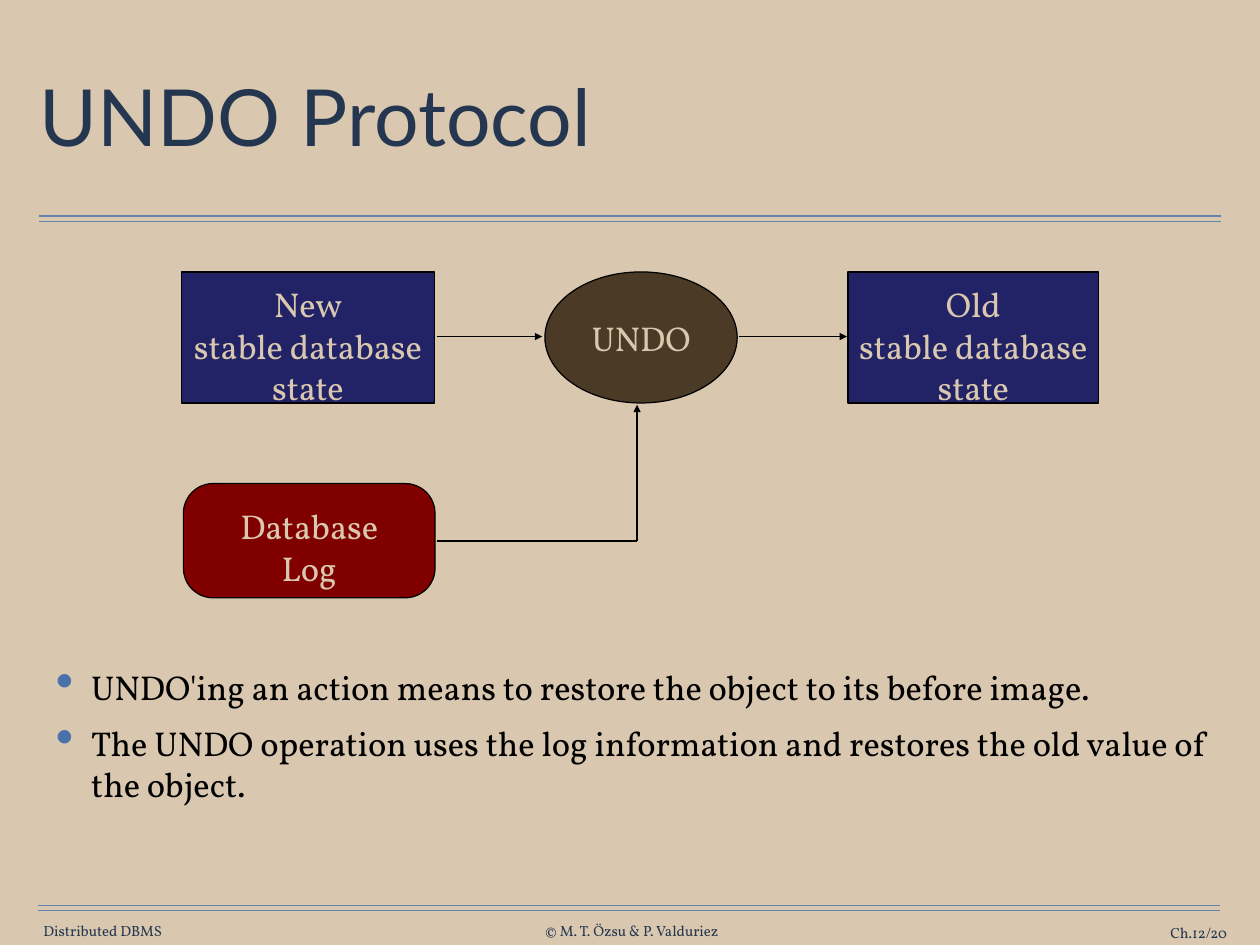
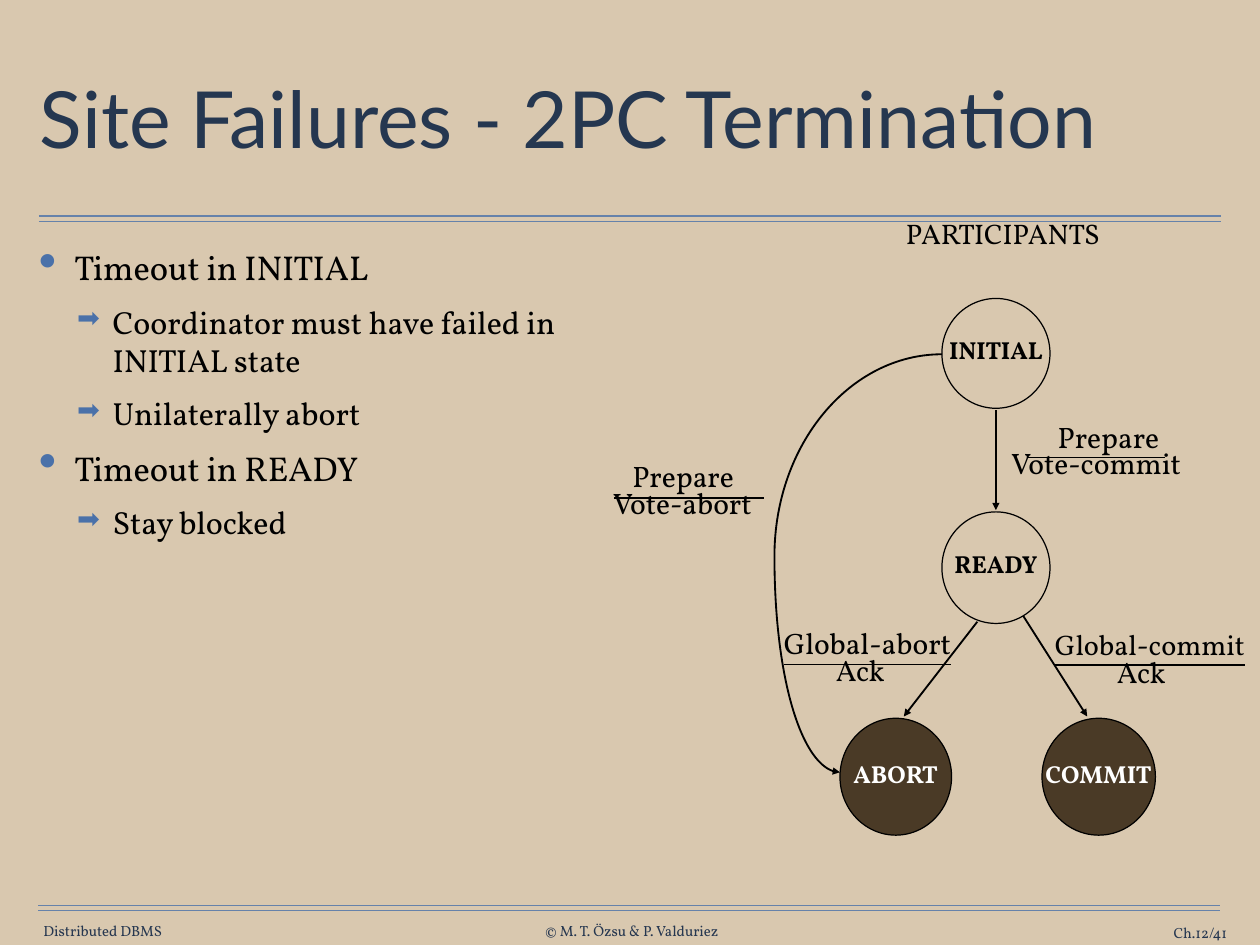
"""Build two slides on recovery protocols in distributed databases."""
from dataclasses import dataclass

from lxml import etree
from pptx import Presentation
from pptx.dml.color import RGBColor
from pptx.enum import shapes, text
from pptx.oxml.ns import qn
from pptx.util import Inches, Pt


@dataclass(frozen=True)
class Theme:
    """Colours, fonts and type sizes used on every slide."""
    sand: str = "D9C8AF"
    rule: str = "6682AA"
    footer: str = "263750"
    title: str = "253750"
    bullet: str = "4A71A9"
    black: str = "000000"
    white: str = "FFFFFF"
    navy: str = "222267"
    maroon: str = "800000"
    brown: str = "4A3A26"
    heading_font: str = "Lato"
    body_font: str = "Vollkorn"
    title_size: int = 64
    body_size: int = 28
    sub_size: int = 26
    label_size: int = 24
    caption_size: int = 23
    state_size: int = 20
    footer_size: int = 12


THEME = Theme()
SHAPE = shapes.MSO_SHAPE
ALIGN = text.PP_ALIGN
TITLE_BOX = (0.39, 0.49, 13.44, 1.76)
RULES = [(0.44, 2.44), (0.44, 2.5), (0.43, 10.22), (0.43, 10.28)]
RULE_LENGTH = 13.34
BULLETS = [("•", 150, 0.4, THEME.body_size), ("➡", 85, 0.83, THEME.sub_size)]
HANGING = 0.4

UNDO = {
    "title": "UNDO Protocol",
    "spacing": 0.9,
    "number": "Ch.12/20",
    "body_box": (0.57, 7.46, 13.44, 2.22),
    "body": [
        (0, "UNDO'ing an action means to restore the object to its before image."),
        (0, "The UNDO operation uses the log information and restores the old "
            "value of the object."),
    ],
    "arrows": [
        ((4.93, 3.8), (6.12, 3.8)),
        ((8.34, 3.8), (9.56, 3.8)),
        ((7.19, 6.11), (7.19, 4.57)),
    ],
    "lines": [((4.93, 6.11), (7.19, 6.11), 1.5)],
    "text_style": (THEME.body_size, False),
    "nodes": [
        (SHAPE.RECTANGLE, (2.05, 3.07, 2.85, 1.48), THEME.navy, THEME.sand, 0.09,
         ["New", "stable database", "state"]),
        (SHAPE.ROUNDED_RECTANGLE, (2.07, 5.46, 2.84, 1.29), THEME.maroon,
         THEME.sand, 0.07, ["Database", "Log"]),
        (SHAPE.OVAL, (6.15, 3.07, 2.17, 1.48), THEME.brown, THEME.sand, 0, ["UNDO"]),
        (SHAPE.RECTANGLE, (9.57, 3.07, 2.83, 1.48), THEME.navy, THEME.sand, 0.09,
         ["Old", "stable database", "state"]),
    ],
    "labels": [],
    "curve": [],
}

TERMINATION = {
    "title": "Site Failures - 2PC Termination",
    "spacing": 0.97,
    "number": "Ch.12/41",
    "body_box": (0.38, 2.72, 6.81, 7.4),
    "body": [
        (0, "Timeout in INITIAL"),
        (1, "Coordinator must have failed in INITIAL state"),
        (1, "Unilaterally abort"),
        (0, "Timeout in READY"),
        (1, "Stay blocked"),
    ],
    "arrows": [
        ((11.24, 4.63), (11.24, 5.76)),
        ((11.03, 7.02), (10.2, 8.09)),
        ((11.52, 6.91), (12.27, 8.09)),
    ],
    "lines": [((11.6, 5.17), (13.15, 5.17), 1), ((6.93, 5.62), (8.62, 5.62), 1.5)],
    "text_style": (THEME.state_size, True),
    "nodes": [
        (SHAPE.OVAL, (10.63, 3.37, 1.22, 1.24), THEME.sand, THEME.black, -0.04,
         ["INITIAL"]),
        (SHAPE.OVAL, (10.63, 5.78, 1.22, 1.26), THEME.sand, THEME.black, -0.04,
         ["READY"]),
        (SHAPE.OVAL, (9.48, 8.11, 1.26, 1.32), THEME.brown, THEME.white, -0.04,
         ["ABORT"]),
        (SHAPE.OVAL, (11.76, 8.11, 1.28, 1.32), THEME.brown, THEME.white, -0.04,
         ["COMMIT"]),
    ],
    "labels": [
        ("PARTICIPANTS", 11.32, 2.63, THEME.caption_size, False),
        ("Prepare", 12.51, 4.93, THEME.label_size, False),
        ("Vote-commit", 12.37, 5.23, THEME.label_size, False),
        ("Prepare", 7.71, 5.37, THEME.label_size, False),
        ("Vote-abort", 7.7, 5.68, THEME.label_size, False),
        ("Global-abort", 9.79, 7.26, THEME.label_size, True),
        ("Ack", 9.71, 7.56, THEME.label_size, False),
        ("Global-commit", 12.98, 7.27, THEME.caption_size, True),
        ("Ack", 12.88, 7.58, THEME.label_size, False),
    ],
    "curve": [(10.63, 4), (9.59, 4), (8.74, 5.02), (8.74, 6.28),
              (8.74, 7.63), (9.07, 8.72), (9.48, 8.72)],
}


def colour(value):
    """Turn a hex string into a colour."""
    return RGBColor.from_string(value)


def add_span(para, words, size, ink, font=THEME.body_font, bold=False, underline=False):
    """Add one formatted run to a paragraph."""
    span = para.add_run()
    span.text = words
    style = span.font
    style.name, style.size = font, Pt(size)
    style.bold, style.underline = bold, underline
    style.color.rgb = colour(ink)


def set_frame(frame, inset=0, wrap=False, anchor=text.MSO_ANCHOR.MIDDLE):
    """Set the insets, wrapping and anchor of a text frame."""
    frame.auto_size = text.MSO_AUTO_SIZE.NONE
    frame.word_wrap = wrap
    frame.vertical_anchor = anchor
    frame.margin_left = frame.margin_right = Inches(inset)
    frame.margin_top = frame.margin_bottom = Inches(inset)


def add_arrowhead(outline):
    """Put a triangle at the end of a line."""
    etree.SubElement(outline.line._get_or_add_ln(), qn("a:tailEnd"), type="triangle")


def add_line(page, start, end, width, ink=THEME.black, arrow=False):
    """Draw a straight line, with an arrowhead if asked."""
    line = page.shapes.add_connector(
        shapes.MSO_CONNECTOR.STRAIGHT, *map(Inches, start + end))
    line.line.width = Pt(width)
    line.line.color.rgb = colour(ink)
    if arrow:
        add_arrowhead(line)
    etree.SubElement(line._element.spPr, qn("a:effectLst"))


def add_label(page, words, place, size, ink, align=ALIGN.CENTER, underline=False):
    """Place one line of text in a box."""
    box = page.shapes.add_textbox(*map(Inches, place))
    set_frame(box.text_frame, wrap=align == ALIGN.RIGHT)
    para = box.text_frame.paragraphs[0]
    para.alignment = align
    add_span(para, words, size, ink, underline=underline)


def add_node(page, kind, place, fill, ink, drop, lines, size, bold):
    """Draw a filled shape whose text sits drop inches below its middle."""
    node = page.shapes.add_shape(kind, *map(Inches, place))
    node.shadow.inherit = False
    node.fill.solid()
    node.fill.fore_color.rgb = colour(fill)
    node.line.color.rgb = colour(THEME.black)
    node.line.width = Pt(1)
    if kind == SHAPE.ROUNDED_RECTANGLE:
        node.adjustments[0] = 0.26
    frame = node.text_frame
    set_frame(frame)
    frame.margin_top = Inches(2 * max(drop, 0))
    frame.margin_bottom = Inches(2 * max(-drop, 0))
    for index, words in enumerate(lines):
        para = frame.add_paragraph() if index else frame.paragraphs[0]
        para.alignment = ALIGN.CENTER
        add_span(para, words, size, ink, bold=bold)


def add_curve(page, points):
    """Draw a chain of Bezier arcs, three points each, ending in an arrow."""
    corners = [tuple(map(Inches, point)) for point in points]
    builder = page.shapes.build_freeform(*corners[0])
    builder.add_line_segments(corners[1:], close=False)
    curve = builder.convert_to_shape()
    curve.shadow.inherit = False
    curve.fill.background()
    curve.line.color.rgb = colour(THEME.black)
    curve.line.width = Pt(1.5)
    add_arrowhead(curve)
    steps = list(curve._element.iter(qn("a:lnTo")))
    outline = steps[0].getparent()
    for first in range(0, len(steps), 3):
        arc = etree.SubElement(outline, qn("a:cubicBezTo"))
        for step in steps[first:first + 3]:
            arc.append(step[0])
            outline.remove(step)


def add_body(page, place, items):
    """Write the bulleted text."""
    box = page.shapes.add_textbox(*map(Inches, place))
    frame = box.text_frame
    set_frame(frame, 0.06, True, text.MSO_ANCHOR.TOP)
    for index, (level, words) in enumerate(items):
        mark, percent, indent, size = BULLETS[level]
        para = frame.add_paragraph() if index else frame.paragraphs[0]
        para.level = level
        para.space_before = Pt(12)
        props = para._p.get_or_add_pPr()
        props.set("marL", str(Inches(indent)))
        props.set("indent", str(-Inches(HANGING)))
        tint = etree.SubElement(props, qn("a:buClr"))
        etree.SubElement(tint, qn("a:srgbClr"), val=THEME.bullet)
        etree.SubElement(props, qn("a:buSzPct"), val=str(percent * 1000))
        etree.SubElement(props, qn("a:buChar"), char=mark)
        add_span(para, words, size, THEME.black)


def add_page(deck, number, title, spacing):
    """Add a slide with its title, rules and footer."""
    page = deck.slides.add_slide(deck.slide_layouts[5])
    heading = page.shapes.title
    heading.left, heading.top, heading.width, heading.height = map(Inches, TITLE_BOX)
    set_frame(heading.text_frame, 0.06, True)
    para = heading.text_frame.paragraphs[0]
    para.alignment = ALIGN.LEFT
    para.line_spacing = spacing
    add_span(para, title, THEME.title_size, THEME.title, THEME.heading_font)
    for left, top in RULES:
        add_line(page, (left, top), (left + RULE_LENGTH, top), 1, THEME.rule)
    footers = [
        ("Distributed DBMS", (0.47, 10.41, 1.38, 0.2), ALIGN.CENTER),
        ("© M. T. Özsu & P. Valduriez", (6.09, 10.41, 2.08, 0.2), ALIGN.CENTER),
        (number, (12.31, 10.43, 1.54, 0.2), ALIGN.RIGHT),
    ]
    for words, place, align in footers:
        add_label(page, words, place, THEME.footer_size, THEME.footer, align)
    return page


def build(deck, content):
    """Build one slide from its content."""
    page = add_page(deck, content["number"], content["title"], content["spacing"])
    add_body(page, content["body_box"], content["body"])
    for start, end in content["arrows"]:
        add_line(page, start, end, 1.5, arrow=True)
    for start, end, width in content["lines"]:
        add_line(page, start, end, width)
    for node in content["nodes"]:
        add_node(page, *node, *content["text_style"])
    for words, middle, centre, size, underline in content["labels"]:
        place = (middle - 1, centre - 0.2, 2, 0.4)
        add_label(page, words, place, size, THEME.black, underline=underline)
    if content["curve"]:
        add_curve(page, content["curve"])


deck = Presentation()
deck.slide_width, deck.slide_height = Inches(14.22), Inches(10.67)
backdrop = deck.slide_master.background.fill
backdrop.solid()
backdrop.fore_color.rgb = colour(THEME.sand)
for content in (UNDO, TERMINATION):
    build(deck, content)
deck.save("out.pptx")
